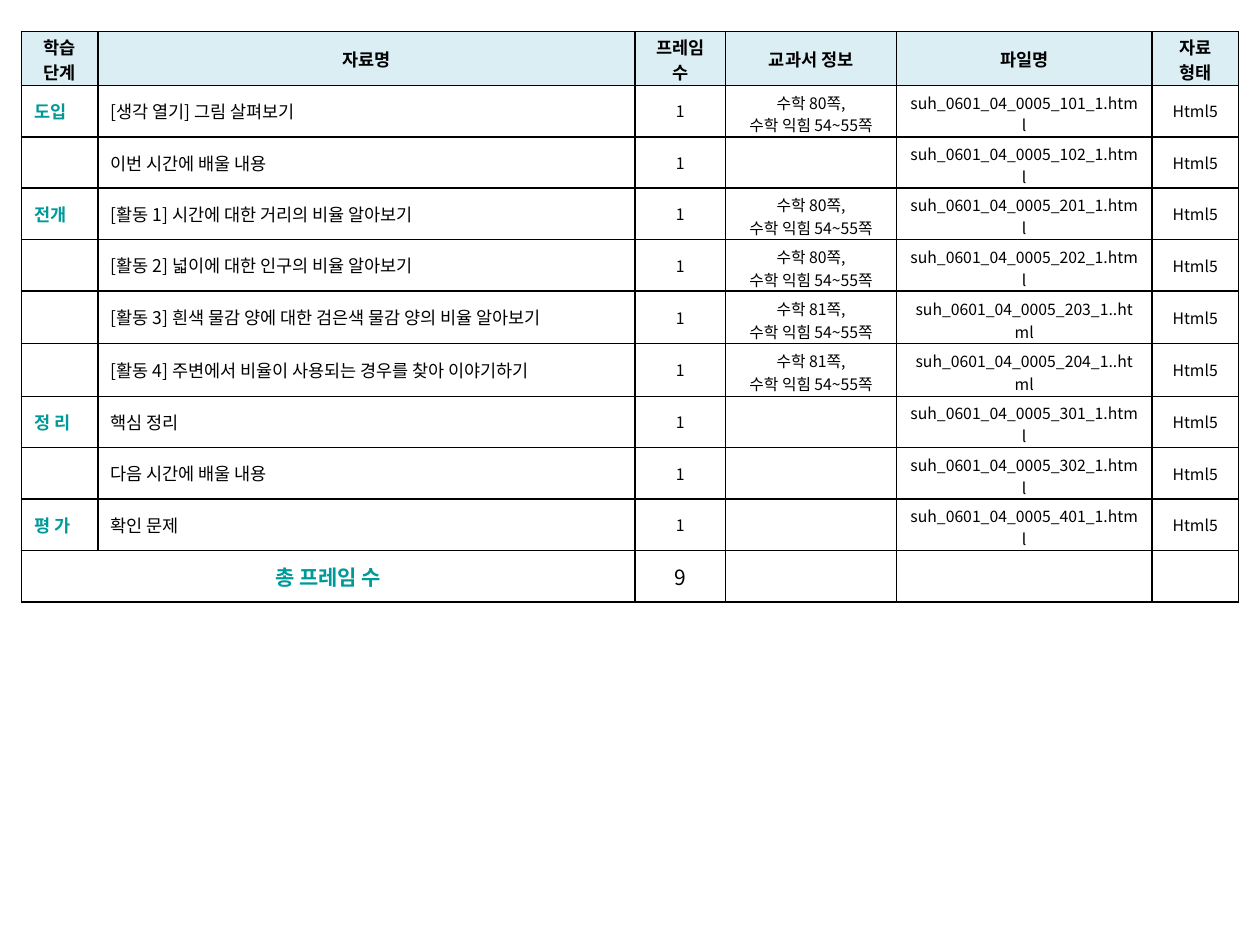
from lxml import etree
from pptx import Presentation
from pptx.dml.color import RGBColor
from pptx.enum.text import MSO_ANCHOR, PP_ALIGN
from pptx.oxml.ns import qn
from pptx.util import Inches, Pt

CENTER, LEFT, JUSTIFY = PP_ALIGN.CENTER, PP_ALIGN.LEFT, PP_ALIGN.JUSTIFY
MIDDLE = MSO_ANCHOR.MIDDLE
BLACK = RGBColor(0x00, 0x00, 0x00)
TEAL = RGBColor(0x00, 0x99, 0x99)
PALE_BLUE = RGBColor(0xDB, 0xEE, 0xF4)
FONT = "Noto Sans CJK KR"

TABLE_WIDTH, TABLE_HEIGHT = 9.66, 4.53
COLUMN_SHARES = [0.61, 4.27, 0.72, 1.36, 2.03, 0.69]
ROW_SHARES = [0.43] + [0.41] * 4 + [0.42] * 2 + [0.41] * 4
HEADINGS = ["학습 단계", "자료명", "프레임 수", "교과서 정보", "파일명", "자료\n형태"]
TWO_LINE_HEADINGS = (0, 2, 5)
PAGES_80 = "수학 80쪽,\n수학 익힘 54~55쪽"
PAGES_81 = "수학 81쪽,\n수학 익힘 54~55쪽"

# Stage, material, textbook pages, end of the file name
LESSONS = [
    ("도입", "[생각 열기] 그림 살펴보기", PAGES_80, "101_1.html"),
    ("", "이번 시간에 배울 내용", "", "102_1.html"),
    ("전개", "[활동 1] 시간에 대한 거리의 비율 알아보기", PAGES_80, "201_1.html"),
    ("", "[활동 2] 넓이에 대한 인구의 비율 알아보기", PAGES_80, "202_1.html"),
    ("", "[활동 3] 흰색 물감 양에 대한 검은색 물감 양의 비율 알아보기", PAGES_81, "203_1..html"),
    ("", "[활동 4] 주변에서 비율이 사용되는 경우를 찾아 이야기하기", PAGES_81, "204_1..html"),
    ("정 리", "핵심 정리", "", "301_1.html"),
    ("", "다음 시간에 배울 내용", "", "302_1.html"),
    ("평 가", "확인 문제", "", "401_1.html"),
]


def add_borders(cell):
    """Draw a thin black line on all four sides, ahead of the cell fill."""
    props = cell._tc.get_or_add_tcPr()
    for index, side in enumerate(("a:lnL", "a:lnR", "a:lnT", "a:lnB")):
        line = etree.Element(qn(side), w=str(Pt(1)))
        fill = etree.SubElement(line, qn("a:solidFill"))
        etree.SubElement(fill, qn("a:srgbClr"), val=str(BLACK))
        props.insert(index, line)


def fill_cell(cell, text, size, align=CENTER, color=BLACK, bold=False):
    cell.vertical_anchor = MIDDLE
    cell.text = text
    for para in cell.text_frame.paragraphs:
        para.alignment = align
        para.font.size = Pt(size)
        para.font.name = FONT
        para.font.bold = bold
        para.font.color.rgb = color
        # Korean text takes the East Asian typeface
        latin = para.font._element.find(qn("a:latin"))
        latin.addnext(etree.Element(qn("a:ea"), typeface=FONT))
        if not text:
            etree.SubElement(para._p, qn("a:endParaRPr"), sz=str(size * 100))


deck = Presentation()
deck.slide_width, deck.slide_height = Inches(10), Inches(7.5)
page = deck.slides.add_slide(deck.slide_layouts[6])

# Table grid, shared out over the full width and height
table = page.shapes.add_table(
    len(ROW_SHARES), len(COLUMN_SHARES),
    Inches(0.17), Inches(0.25), Inches(TABLE_WIDTH), Inches(TABLE_HEIGHT)).table
table.first_row = table.horz_banding = False
for column, share in zip(table.columns, COLUMN_SHARES):
    column.width = Inches(TABLE_WIDTH * share / sum(COLUMN_SHARES))
for row, share in zip(table.rows, ROW_SHARES):
    row.height = Inches(TABLE_HEIGHT * share / sum(ROW_SHARES))
for cell in table.iter_cells():
    cell.fill.background()
    add_borders(cell)

# Heading row
for col, heading in enumerate(HEADINGS):
    cell = table.cell(0, col)
    fill_cell(cell, heading, 10, bold=True)
    cell.fill.solid()
    cell.fill.fore_color.rgb = PALE_BLUE
    if col in TWO_LINE_HEADINGS:
        cell.margin_top, cell.margin_bottom = Inches(0.02), 0

# Lesson rows; pages and file names take two lines in a low row
for row, (stage, material, pages, file_end) in enumerate(LESSONS, start=1):
    fill_cell(table.cell(row, 0), stage, 10, JUSTIFY, TEAL, True)
    fill_cell(table.cell(row, 1), material, 10, LEFT)
    details = ["1", pages, "suh_0601_04_0005_" + file_end, "Html5"]
    for col, detail in enumerate(details, start=2):
        cell = table.cell(row, col)
        fill_cell(cell, detail, 9)
        if col in (3, 4):
            cell.margin_top, cell.margin_bottom = Inches(0.04), 0

# Total row
total_row = len(ROW_SHARES) - 1
table.cell(total_row, 0).merge(table.cell(total_row, 1))
fill_cell(table.cell(total_row, 0), "총 프레임 수", 12, color=TEAL, bold=True)
for col, total in enumerate([str(len(LESSONS)), "", "", ""], start=2):
    fill_cell(table.cell(total_row, col), total, 12)

deck.save("out.pptx")
